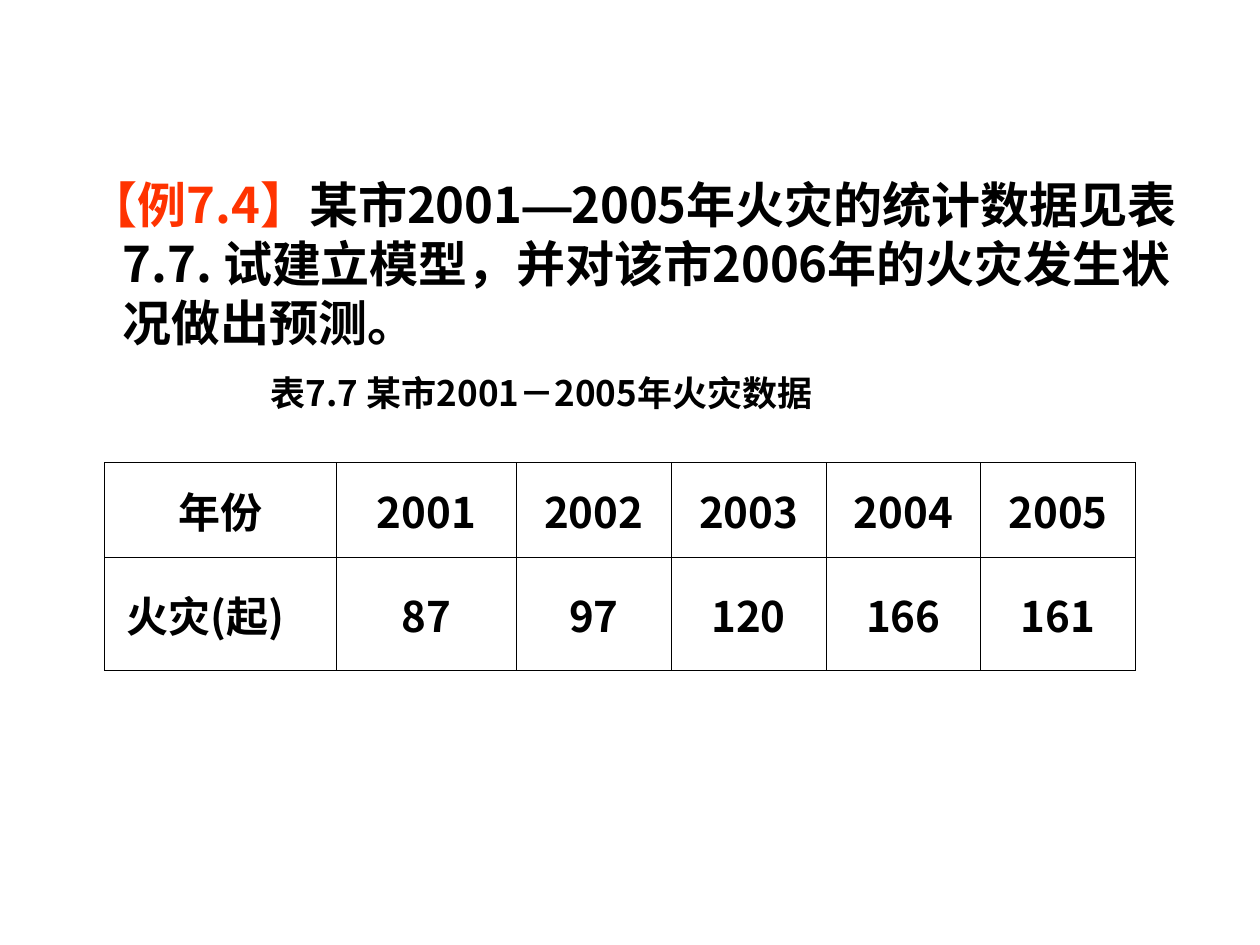
from dataclasses import dataclass

from lxml.etree import SubElement
from pptx import Presentation
from pptx.dml.color import RGBColor
from pptx.enum.text import MSO_ANCHOR, PP_ALIGN
from pptx.oxml.ns import qn
from pptx.slide import Slide
from pptx.table import _Cell
from pptx.util import Cm, Pt

BLACK = RGBColor(0x00, 0x00, 0x00)
RED = RGBColor(0xFF, 0x33, 0x00)
CHINESE_FONT = "Noto Sans CJK SC"
DASH_FONT = "Arial"
BORDER_WIDTH = Pt(0.45)

COLUMN_WIDTHS = [Cm(4.67), Cm(3.63)] + [Cm(3.12)] * 4
ROW_HEIGHTS = [Cm(1.9), Cm(2.29)]
FIRE_ROWS = [
    ["年份", "2001", "2002", "2003", "2004", "2005"],
    ["火灾(起)", "87", "97", "120", "166", "161"],
]


@dataclass
class Span:
    text: str
    color: RGBColor = BLACK
    font: str = CHINESE_FONT


@dataclass
class Para:
    spans: list[Span]
    size: float
    left: float
    first_line: float
    format: dict


PARAS = [
    Para(
        [
            Span("【例7.4】", RED),
            Span("某市2001"),
            Span("—", font=DASH_FONT),
            Span("2005年火灾的统计数据见表7.7. 试建立模型，并对该市2006年的火灾发生状况做出预测。"),
        ],
        28, 0.95, -0.68, {"line_spacing": Pt(33.7)},
    ),
    Para(
        [Span("表7.7 某市2001－2005年火灾数据")],
        20, 3.94, 0, {"line_spacing": Pt(24.5), "space_before": Pt(11)},
    ),
]


def add_span(paragraph, span: Span, size: float) -> None:
    run = paragraph.add_run()
    run.text = span.text
    for name, value in {"name": span.font, "size": Pt(size), "bold": True}.items():
        setattr(run.font, name, value)
    run.font.color.rgb = span.color
    SubElement(run.font._element, qn("a:ea"), typeface=span.font)


def add_problem_text(slide: Slide) -> None:
    box = slide.shapes.add_textbox(Cm(1.27), Cm(3.4), Cm(23.24), Cm(14.4))
    frame = box.text_frame
    frame.word_wrap = True
    for index, para in enumerate(PARAS):
        paragraph = frame.add_paragraph() if index else frame.paragraphs[0]
        properties = paragraph._p.get_or_add_pPr()
        properties.set("marL", str(Cm(para.left)))
        properties.set("indent", str(Cm(para.first_line)))
        for name, value in para.format.items():
            setattr(paragraph, name, value)
        for span in para.spans:
            add_span(paragraph, span, para.size)


def draw_borders(cell: _Cell) -> None:
    properties = cell._tc.get_or_add_tcPr()
    for side in ("a:lnL", "a:lnR", "a:lnT", "a:lnB"):
        line = SubElement(properties, qn(side), w=str(BORDER_WIDTH))
        fill = SubElement(line, qn("a:solidFill"))
        SubElement(fill, qn("a:srgbClr"), val=str(BLACK))


def add_fire_table(slide: Slide) -> None:
    table = slide.shapes.add_table(
        len(ROW_HEIGHTS), len(COLUMN_WIDTHS), Cm(2.11), Cm(9.33),
        sum(COLUMN_WIDTHS), sum(ROW_HEIGHTS),
    ).table
    table.first_row = table.horz_banding = False
    for column, width in zip(table.columns, COLUMN_WIDTHS):
        column.width = width
    for row, height, values in zip(table.rows, ROW_HEIGHTS, FIRE_ROWS):
        row.height = height
        for cell, value in zip(row.cells, values):
            draw_borders(cell)
            cell.fill.background()
            cell.vertical_anchor = MSO_ANCHOR.MIDDLE
            paragraph = cell.text_frame.paragraphs[0]
            paragraph.alignment = PP_ALIGN.CENTER
            add_span(paragraph, Span(value), 24)
    fire_label = table.cell(1, 0)
    fire_label.margin_left = Cm(0.44)
    fire_label.text_frame.paragraphs[0].alignment = PP_ALIGN.LEFT


def main() -> None:
    deck = Presentation()
    deck.slide_width, deck.slide_height = Cm(25.4), Cm(19.05)
    slide = deck.slides.add_slide(deck.slide_layouts[6])
    add_problem_text(slide)
    add_fire_table(slide)
    deck.save("out.pptx")


if __name__ == "__main__":
    main()
